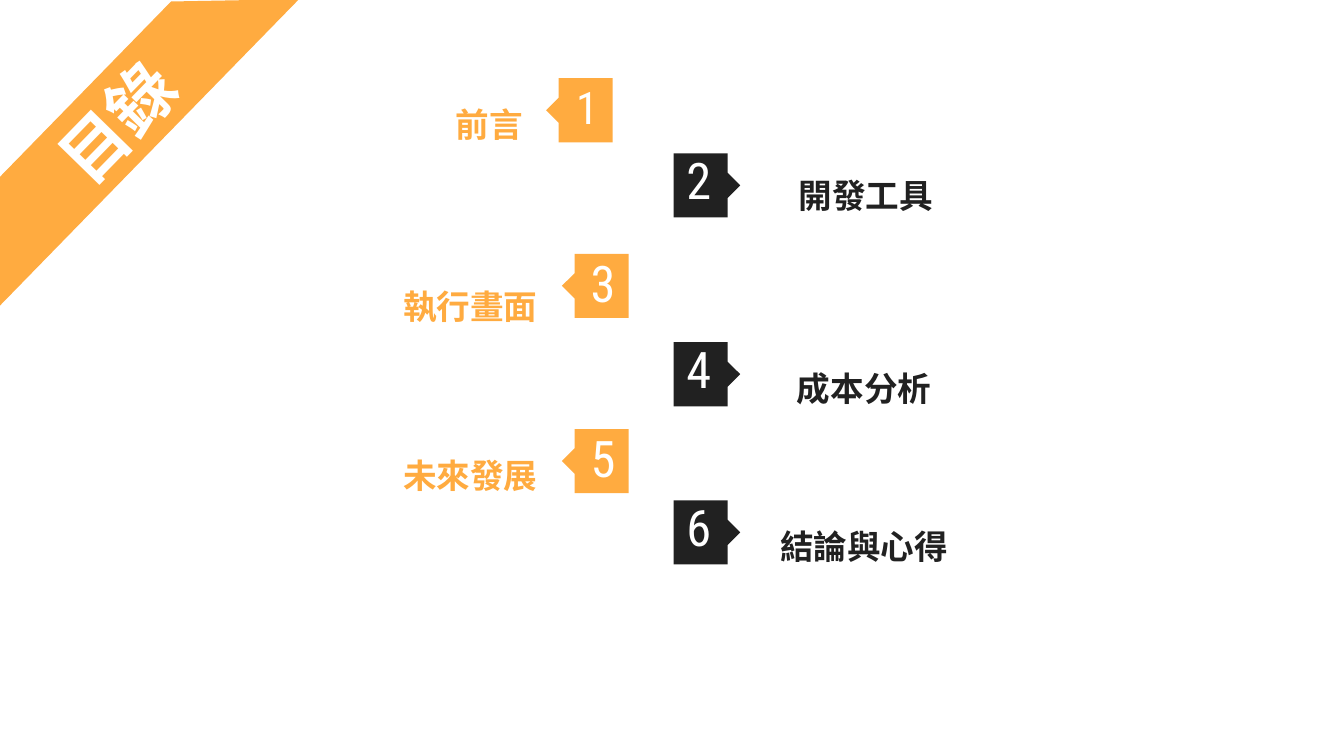
from pptx import Presentation
from pptx.dml.color import RGBColor
from pptx.enum.text import MSO_ANCHOR, MSO_AUTO_SIZE, PP_ALIGN
from pptx.oxml.ns import qn
from pptx.util import Cm, Pt
from lxml import etree

CENTER = PP_ALIGN.CENTER
MIDDLE, TOP = MSO_ANCHOR.MIDDLE, MSO_ANCHOR.TOP
NO_AUTOFIT = MSO_AUTO_SIZE.NONE
TITLE_ONLY = 5

ORANGE, BLACK, WHITE = "FFAB40", "212121", "FFFFFF"

# label, digit size, flag left, flag top, label left, label top, label width
CHAPTERS = [
    ("前言", 24, 10.32, 1.48, 6.91, 1.48, 4.67),
    ("開發工具", 27, 12.73, 2.9, 13.49, 2.82, 5.74),
    ("執行畫面", 27, 10.62, 4.8, 6.5, 4.93, 4.78),
    ("成本分析", 27, 12.73, 6.47, 14.02, 6.47, 4.62),
    ("未來發展", 27, 10.62, 8.11, 6.5, 8.11, 4.78),
    ("結論與心得", 27, 12.73, 9.46, 14.02, 9.46, 4.62),
]


def rgb(color):
    return RGBColor.from_string(color)


class AgendaSlide:
    title_font = "Noto Sans CJK SC"
    label_font = "Roboto"
    number_font = "Roboto Condensed"
    ribbon_box = (-1.86, 1.45, 8.13, 1.7)
    ribbon_angle = 314.3
    flag_width, flag_height, flag_tip = 1.26, 1.21, 0.24

    def __init__(self, slide):
        self.slide = slide

    def set_text(self, shape, text, size, font, color, bold=False,
                 anchor=MIDDLE, insets=(0, 0, 0, 0), spacing=1.0):
        """Fill a shape with one centred line; insets run left, top, right, bottom."""
        frame = shape.text_frame
        frame.text = text
        frame.word_wrap = True
        frame.auto_size = NO_AUTOFIT
        frame.vertical_anchor = anchor
        (frame.margin_left, frame.margin_top,
         frame.margin_right, frame.margin_bottom) = map(Cm, insets)
        line = frame.paragraphs[0]
        line.alignment = CENTER
        line.line_spacing = spacing
        run = line.runs[0]
        run.font.size = Pt(size)
        run.font.bold = bold
        run.font.name = font
        run.font.color.rgb = rgb(color)
        east_asian = etree.SubElement(run.font._element, qn("a:ea"))
        east_asian.set("typeface", font)

    def outline(self, left, top, points, color):
        """Draw a filled polygon whose points are relative to left and top."""
        corners = [(Cm(left + x), Cm(top + y)) for x, y in points]
        builder = self.slide.shapes.build_freeform(*corners[0])
        builder.add_line_segments(corners[1:], close=True)
        shape = builder.convert_to_shape()
        shape.shadow.inherit = False
        shape.fill.solid()
        shape.fill.fore_color.rgb = rgb(color)
        shape.line.fill.background()
        return shape

    def ribbon(self):
        left, top, width, height = self.ribbon_box
        slant = 1.72
        points = [(slant, 0), (width - slant, 0), (width, height), (0, height)]
        band = self.outline(left, top, points, ORANGE)
        band.rotation = self.ribbon_angle

    def title(self, text):
        title = self.slide.shapes.title
        title.left, title.top, title.width, title.height = map(Cm, self.ribbon_box)
        title.rotation = self.ribbon_angle
        self.set_text(title, text, 36, self.title_font, WHITE, bold=True)
        # The title stands on the ribbon, so it goes to the front.
        self.slide.shapes._spTree.append(title._element)

    def flag(self, number, size, left, top, color, points_left):
        width, height, tip = self.flag_width, self.flag_height, self.flag_tip
        body, middle = width - tip, height / 2
        points = [(0, 0), (body, 0), (body, middle - tip), (width, middle),
                  (body, middle + tip), (body, height), (0, height)]
        insets = (0, 0, 0.3, 0.23)
        if points_left:
            points = [(width - x, y) for x, y in points]
            insets = (0.3, 0, 0, 0.15)
        shape = self.outline(left, top, points, color)
        self.set_text(shape, str(number), size, self.number_font, WHITE, insets=insets)

    def label(self, text, left, top, width, color):
        box = self.slide.shapes.add_textbox(Cm(left), Cm(top), Cm(width), Cm(1.35))
        self.set_text(box, text, 18, self.label_font, color, bold=True, anchor=TOP,
                      insets=(0.18, 0.1, 0.18, 0.1), spacing=1.5)


def main():
    deck = Presentation()
    deck.slide_width, deck.slide_height = Cm(25.4), Cm(14.29)
    agenda = AgendaSlide(deck.slides.add_slide(deck.slide_layouts[TITLE_ONLY]))
    agenda.ribbon()
    agenda.title("目錄")
    for number, chapter in enumerate(CHAPTERS, start=1):
        name, size, flag_left, flag_top, label_left, label_top, label_width = chapter
        is_odd = number % 2 == 1
        color = ORANGE if is_odd else BLACK
        agenda.flag(number, size, flag_left, flag_top, color, points_left=is_odd)
        agenda.label(name, label_left, label_top, label_width, color)
    deck.save("out.pptx")


if __name__ == "__main__":
    main()
